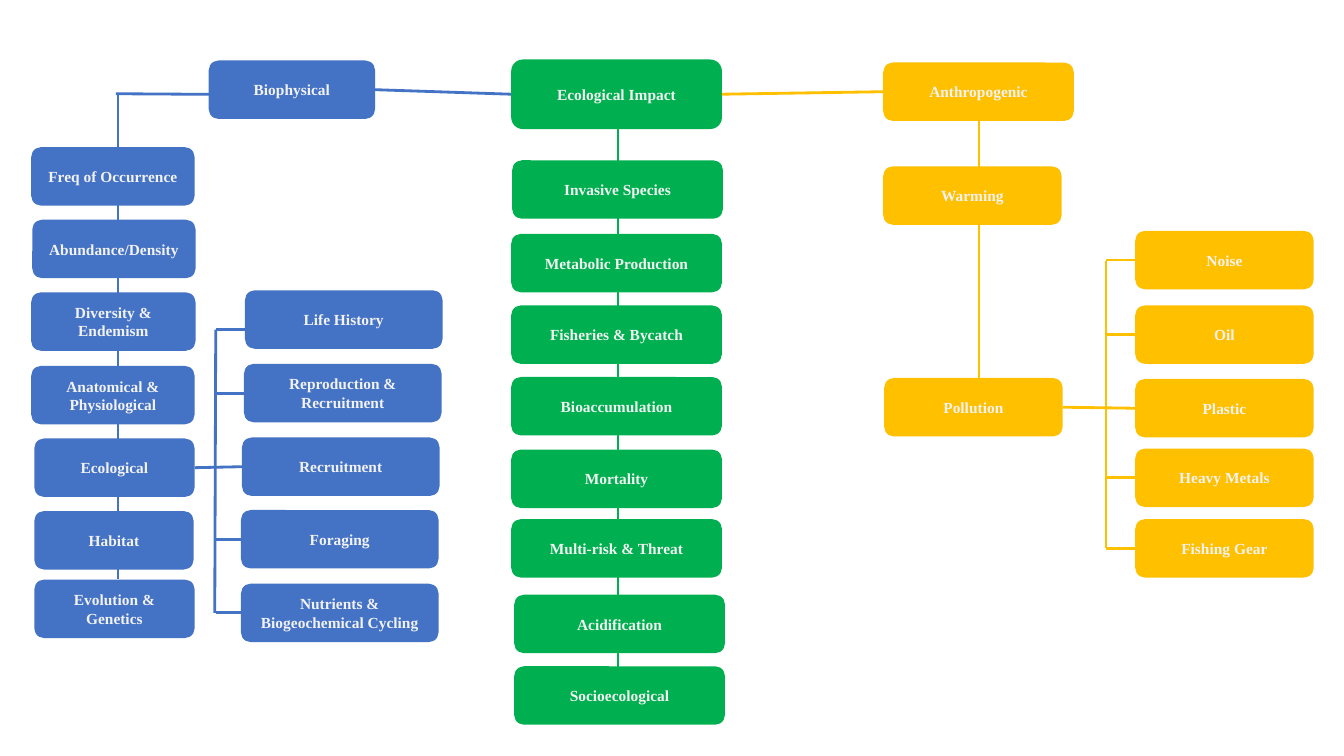
from dataclasses import dataclass

from lxml.etree import SubElement
from pptx import Presentation
from pptx.dml.color import RGBColor as Rgb
from pptx.enum.shapes import MSO_CONNECTOR as Conn, MSO_SHAPE as Shape
from pptx.enum.text import MSO_ANCHOR as Anchor, PP_ALIGN as Align
from pptx.oxml.ns import qn
from pptx.util import Pt

SCALE = 9144
TOP, LEFT, BOTTOM, RIGHT = range(4)


@dataclass(frozen=True)
class Theme:
    """Colours, font and sizes of the chart."""
    blue: str = "4472C4"
    green: str = "00B050"
    gold: str = "FFC000"
    text: str = "F2F2F2"
    font: str = "Times New Roman"
    size: int = 11
    rule: int = 2


THEME = Theme()
HEADS = [
    ("Biophysical", THEME.blue, 207, 60, 165, 58),
    ("Ecological Impact", THEME.green, 507, 59, 209, 69),
    ("Anthropogenic", THEME.gold, 876, 62, 189, 58),
]
STACKS = [
    (THEME.blue, [
        ("Freq of Occurrence", 31, 146, 162),
        ("Abundance/Density", 32, 218, 162),
        ("Diversity & Endemism", 31, 290, 163),
        ("Anatomical & Physiological", 31, 363, 162),
        ("Ecological", 34, 435, 159),
        ("Habitat", 34, 507, 158),
        ("Evolution & Genetics", 34, 575, 159),
    ]),
    (THEME.blue, [
        ("Life History", 243, 288, 196),
        ("Reproduction & Recruitment", 242, 361, 196),
        ("Recruitment", 240, 434, 196),
        ("Foraging", 239, 506, 196),
        ("Nutrients & Biogeochemical Cycling", 239, 579, 196),
    ]),
    (THEME.green, [
        ("Invasive Species", 508, 159, 209),
        ("Metabolic Production", 507, 232, 209),
        ("Fisheries & Bycatch", 507, 303, 209),
        ("Bioaccumulation", 507, 374, 209),
        ("Mortality", 507, 446, 209),
        ("Multi-risk & Threat", 507, 515, 209),
        ("Acidification", 510, 590, 209),
        ("Socioecological", 510, 661, 209),
    ]),
    (THEME.gold, [
        ("Warming", 876, 165, 177),
        ("Pollution", 877, 375, 177),
    ]),
    (THEME.gold, [
        ("Noise", 1126, 229, 177),
        ("Oil", 1126, 303, 177),
        ("Plastic", 1126, 376, 177),
        ("Heavy Metals", 1126, 445, 177),
        ("Fishing Gear", 1126, 515, 177),
    ]),
]
TRUNKS = [
    (THEME.blue, 115, 93, 268, 94),
    (THEME.blue, 117, 93, 117, 574),
    (THEME.blue, 214, 327, 213, 608),
    (THEME.blue, 214, 327, 252, 327),
    (THEME.green, 613, 91, 613, 690),
    (THEME.gold, 971, 93, 971, 421),
    (THEME.gold, 1097, 259, 1097, 544),
]
LINKS = [
    (THEME.blue, "Biophysical", "Ecological Impact"),
    (THEME.gold, "Ecological Impact", "Anthropogenic"),
    (THEME.blue, "Ecological", "Recruitment"),
    (THEME.gold, "Pollution", "Plastic"),
]
STUBS = [
    (THEME.blue, 214, ["Reproduction & Recruitment", "Foraging",
                       "Nutrients & Biogeochemical Cycling"]),
    (THEME.gold, 1097, ["Noise", "Oil", "Heavy Metals", "Fishing Gear"]),
]


def px(*nums):
    """Turn lengths in px into EMU."""
    return [num * SCALE for num in nums]


def style(item, **form):
    """Set each format value on the item."""
    for key, value in form.items():
        setattr(item, key, value)


def add_line(slide, hue, *ends):
    """Draw a straight line between two points."""
    line = slide.shapes.add_connector(Conn.STRAIGHT, *px(*ends))
    line.line.color.rgb = Rgb.from_string(hue)
    line.line.width = Pt(THEME.rule)
    SubElement(line._element.spPr, qn("a:effectLst"))
    return line


def add_box(slide, text, hue, *frame):
    """Draw a rounded box with a centred label."""
    box = slide.shapes.add_shape(Shape.ROUNDED_RECTANGLE, *px(*frame))
    box.shadow.inherit = False
    box.fill.solid()
    box.fill.fore_color.rgb = Rgb.from_string(hue)
    box.line.fill.background()
    style(box.text_frame, word_wrap=True, vertical_anchor=Anchor.MIDDLE)
    para = box.text_frame.paragraphs[0]
    style(para, text=text, alignment=Align.CENTER)
    font = para.runs[0].font
    style(font, name=THEME.font, size=Pt(THEME.size), bold=True)
    font.color.rgb = Rgb.from_string(THEME.text)
    return box


def add_link(slide, hue, start, end):
    """Join the right side of one box to the left side of the next."""
    line = add_line(slide, hue, 0, 0, 0, 0)
    line.begin_connect(start, RIGHT)
    line.end_connect(end, LEFT)


def add_stub(slide, hue, left, box):
    """Join a trunk to the left side of a box."""
    mid = round((box.top + box.height / 2) / SCALE)
    line = add_line(slide, hue, left, mid, left, mid)
    line.end_connect(box, LEFT)


def main():
    """Build the chart and save it."""
    deck = Presentation()
    deck.slide_width, deck.slide_height = px(1333, 750)
    slide = deck.slides.add_slide(deck.slide_layouts[6])
    for trunk in TRUNKS:
        add_line(slide, *trunk)
    boxes = {head[0]: add_box(slide, *head) for head in HEADS}
    for hue, rows in STACKS:
        for text, left, top, width in rows:
            boxes[text] = add_box(slide, text, hue, left, top, width, 58)
    for hue, start, end in LINKS:
        add_link(slide, hue, boxes[start], boxes[end])
    for hue, left, names in STUBS:
        for name in names:
            add_stub(slide, hue, left, boxes[name])
    deck.save("out.pptx")


if __name__ == "__main__":
    main()
